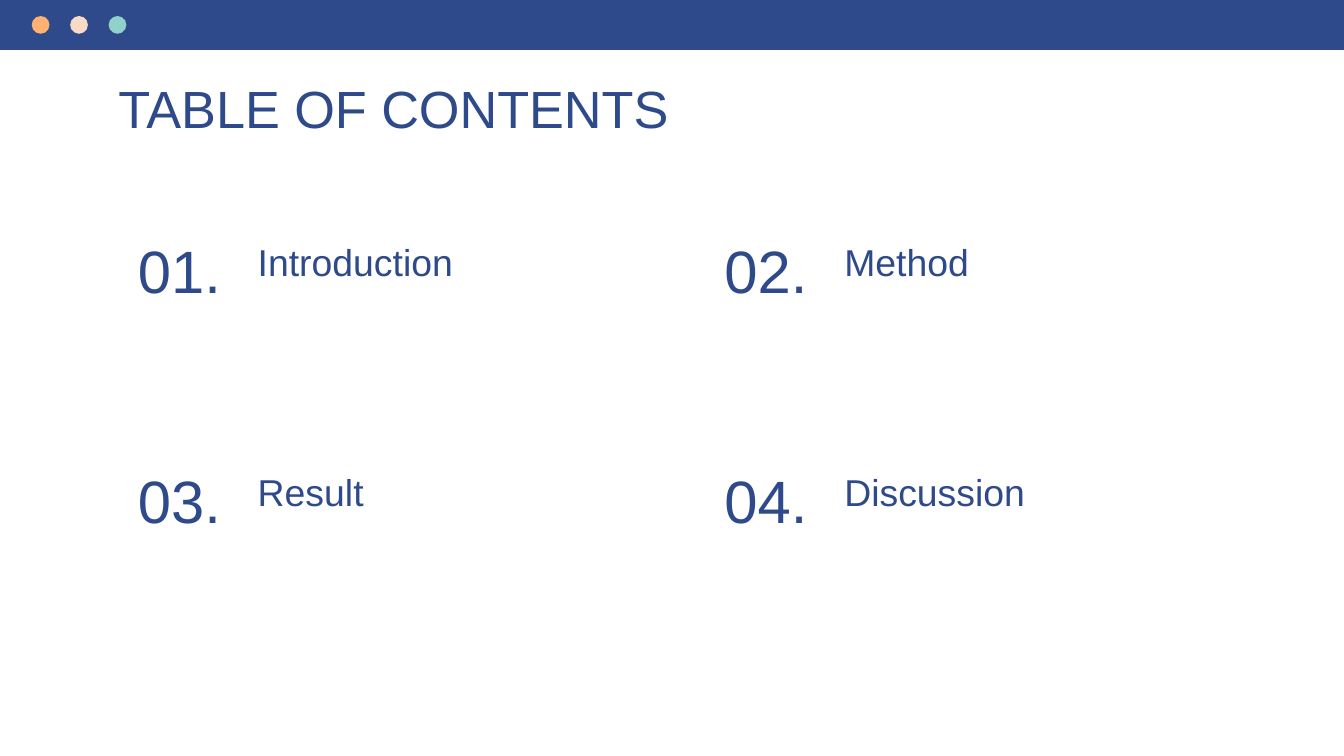
import pptx
import pptx.util
import pptx.dml.color
import pptx.enum.shapes
import pptx.enum.text

Pt = pptx.util.Pt
RGB = pptx.dml.color.RGBColor
Kind = pptx.enum.shapes.MSO_SHAPE
Align = pptx.enum.text.PP_ALIGN
Anchor = pptx.enum.text.MSO_ANCHOR

NAVY = RGB(0x2F, 0x4A, 0x8A)
ORANGE = RGB(0xFF, 0xB1, 0x72)
CREAM = RGB(0xF8, 0xDB, 0xC4)
TEAL = RGB(0x90, 0xD1, 0xCB)


def write(box, text, size, align=Align.LEFT, anchor=Anchor.TOP):
    frame = box.text_frame
    frame.text = text
    frame.word_wrap = True
    frame.auto_size = pptx.enum.text.MSO_AUTO_SIZE.NONE
    frame.vertical_anchor = anchor
    frame.margin_left = frame.margin_right = Pt(7.2)
    frame.margin_top = frame.margin_bottom = Pt(7.2)
    line = frame.paragraphs[0]
    line.alignment = align
    font = line.runs[0].font
    font.name = "Arial"
    font.size = Pt(size)
    font.color.rgb = NAVY


def draw(kind, left, top, width, height, color):
    shape = slide.shapes.add_shape(kind, Pt(left), Pt(top), Pt(width), Pt(height))
    shape.shadow.inherit = False
    shape.fill.solid()
    shape.fill.fore_color.rgb = color
    shape.line.fill.background()


deck = pptx.Presentation()
deck.slide_width = Pt(720)
deck.slide_height = Pt(405)
slide = deck.slides.add_slide(deck.slide_layouts[5])

# Title
title = slide.shapes.title
title.left, title.top, title.width, title.height = Pt(56.2), Pt(33.8), Pt(607.7), Pt(36.7)
write(title, "TABLE OF CONTENTS", 28)

# Contents in two columns and two rows
topics = ["Introduction", "Method", "Result", "Discussion"]
for i, topic in enumerate(topics):
    row, col = divmod(i, 2)
    left = 60.5 + col * 314.2
    top = 121 + row * 123
    label = slide.shapes.add_textbox(Pt(left + 70.5), Pt(top), Pt(212), Pt(36.7))
    write(label, topic, 20)
    number = slide.shapes.add_textbox(Pt(left), Pt(top + 4), Pt(71.3), Pt(46))
    write(number, f"{i + 1:02}.", 32, Align.CENTER, Anchor.BOTTOM)

# Top bar with three dots
draw(Kind.RECTANGLE, 0, 0, 720, 26.8, NAVY)
for i, color in enumerate([ORANGE, CREAM, TEAL]):
    draw(Kind.OVAL, 17 + i * 20.6, 8.6, 9.5, 9.5, color)

deck.save("out.pptx")
